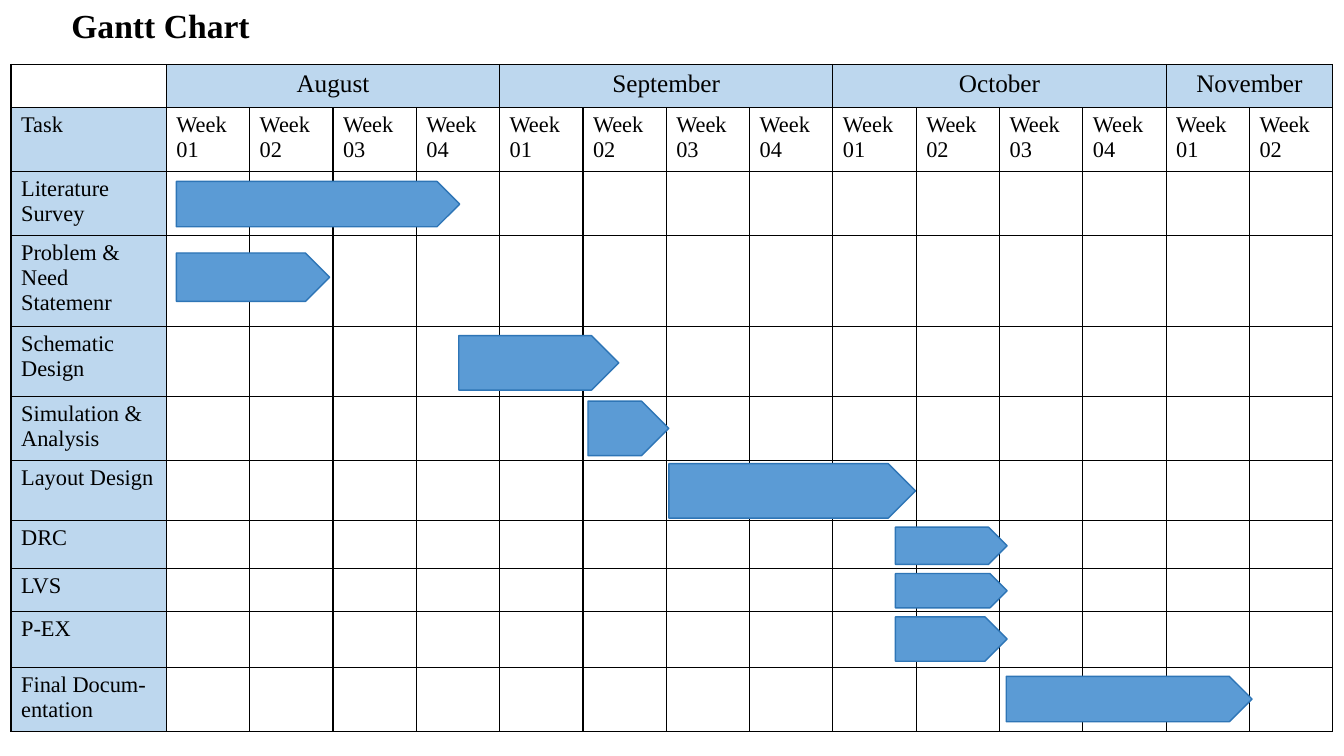
from collections import namedtuple
from dataclasses import dataclass

from lxml.etree import SubElement
from pptx import Presentation
from pptx.dml.color import RGBColor as RGB
from pptx.enum.shapes import MSO_SHAPE as SHAPE
from pptx.enum.text import PP_ALIGN as ALIGN
from pptx.oxml.ns import qn
from pptx.util import Inches, Pt


@dataclass(frozen=True)
class Theme:
    """Colours, font and type sizes of the slide."""
    ink: str = "000000"
    head: str = "BDD7EE"
    bar: str = "5B9BD5"
    edge: str = "2E75B6"
    font: str = "Times New Roman"
    title: int = 24
    month: int = 18
    body: int = 16
    line: int = 1


Task = namedtuple("Task", "name height start weeks drop thick")

THEME = Theme()
LEFT, TOP, WIDTH, LABEL = 0.11, 0.64, 13.11, 1.54
MONTH_ROW, WEEK_ROW = 0.43, 0.6
MONTHS = [("August", 4), ("September", 4), ("October", 4), ("November", 2)]
WEEKS = sum(count for _, count in MONTHS)
WEEK = (WIDTH - LABEL) / WEEKS
TASKS = [
    Task("Literature Survey", 0.6, 0.12, 3.4, 0.13, 0.45),
    Task("Problem & Need Statemenr", 0.83, 0.12, 1.84, 0.24, 0.48),
    Task("Schematic Design", 0.7, 3.51, 1.92, 0.23, 0.54),
    Task("Simulation & Analysis", 0.6, 5.06, 0.97, 0.18, 0.54),
    Task("Layout Design", 0.59, 6.03, 2.96, 0.2, 0.54),
    Task("DRC", 0.48, 8.75, 1.34, 0.24, 0.37),
    Task("LVS", 0.43, 8.75, 1.34, 0.22, 0.34),
    Task("P-EX", 0.55, 8.75, 1.34, 0.22, 0.44),
    Task("Final Docum-entation", 0.6, 10.08, 2.95, 0.26, 0.45),
]


def write(tf, text, size, bold=False, align=None):
    """Set the text of a frame and format its runs."""
    tf.text = text
    tf.word_wrap = True
    for p in tf.paragraphs:
        p.alignment = align
        for r in p.runs:
            r.font.name, r.font.size, r.font.bold = THEME.font, Pt(size), bold
            r.font.color.rgb = RGB.from_string(THEME.ink)


def shade(cell):
    """Give a cell the header colour."""
    cell.fill.solid()
    cell.fill.fore_color.rgb = RGB.from_string(THEME.head)


def add_borders(cell):
    """Draw a thin line on all four sides of a cell."""
    tcPr = cell._tc.get_or_add_tcPr()
    for i, side in enumerate(("a:lnL", "a:lnR", "a:lnT", "a:lnB")):
        ln = SubElement(tcPr, qn(side), w=str(Pt(THEME.line)))
        fill = SubElement(ln, qn("a:solidFill"))
        SubElement(fill, qn("a:srgbClr"), val=THEME.ink)
        tcPr.insert(i, ln)


def add_title(s, text):
    """Place the slide title."""
    box = s.shapes.add_textbox(Inches(0.61), 0, Inches(4.44), Inches(0.5))
    write(box.text_frame, text, THEME.title, bold=True)


def add_grid(s):
    """Build the calendar table with months, weeks and task names."""
    heights = [MONTH_ROW, WEEK_ROW] + [task.height for task in TASKS]
    table = s.shapes.add_table(len(heights), WEEKS + 1, Inches(LEFT), Inches(TOP),
                               Inches(WIDTH), Inches(sum(heights))).table
    table.first_row = table.horz_banding = False
    for row, height in zip(table.rows, heights):
        row.height = Inches(height)
    for i, column in enumerate(table.columns):
        column.width = Inches(WEEK if i else LABEL)
    for cell in table.iter_cells():
        cell.fill.background()
        add_borders(cell)

    col = 1
    for month, count in MONTHS:
        cell = table.cell(0, col)
        cell.merge(table.cell(0, col + count - 1))
        write(cell.text_frame, month, THEME.month, align=ALIGN.CENTER)
        shade(cell)
        for week in range(count):
            gap = "\n" if (month, week) == ("October", 3) else " "
            write(table.cell(1, col + week).text_frame,
                  f"Week{gap}{week + 1:02}", THEME.body)
        col += count

    for i, name in enumerate(["Task"] + [task.name for task in TASKS], 1):
        cell = table.cell(i, 0)
        write(cell.text_frame, name, THEME.body)
        shade(cell)


def add_bar(s, task, row_top):
    """Draw the arrow bar of one task."""
    sp = s.shapes.add_shape(
        SHAPE.PENTAGON, Inches(LEFT + LABEL + task.start * WEEK),
        Inches(row_top + task.drop), Inches(task.weeks * WEEK), Inches(task.thick))
    sp.shadow.inherit = False
    sp.fill.solid()
    sp.fill.fore_color.rgb = RGB.from_string(THEME.bar)
    sp.line.color.rgb = RGB.from_string(THEME.edge)
    sp.line.width = Pt(THEME.line)


def main():
    """Build the Gantt chart slide and save it."""
    prs = Presentation()
    prs.slide_width, prs.slide_height = Inches(13.33), Inches(7.5)
    s = prs.slides.add_slide(prs.slide_layouts[6])
    add_title(s, "Gantt Chart")
    add_grid(s)
    row_top = TOP + MONTH_ROW + WEEK_ROW
    for task in TASKS:
        add_bar(s, task, row_top)
        row_top += task.height
    prs.save("out.pptx")


if __name__ == "__main__":
    main()
